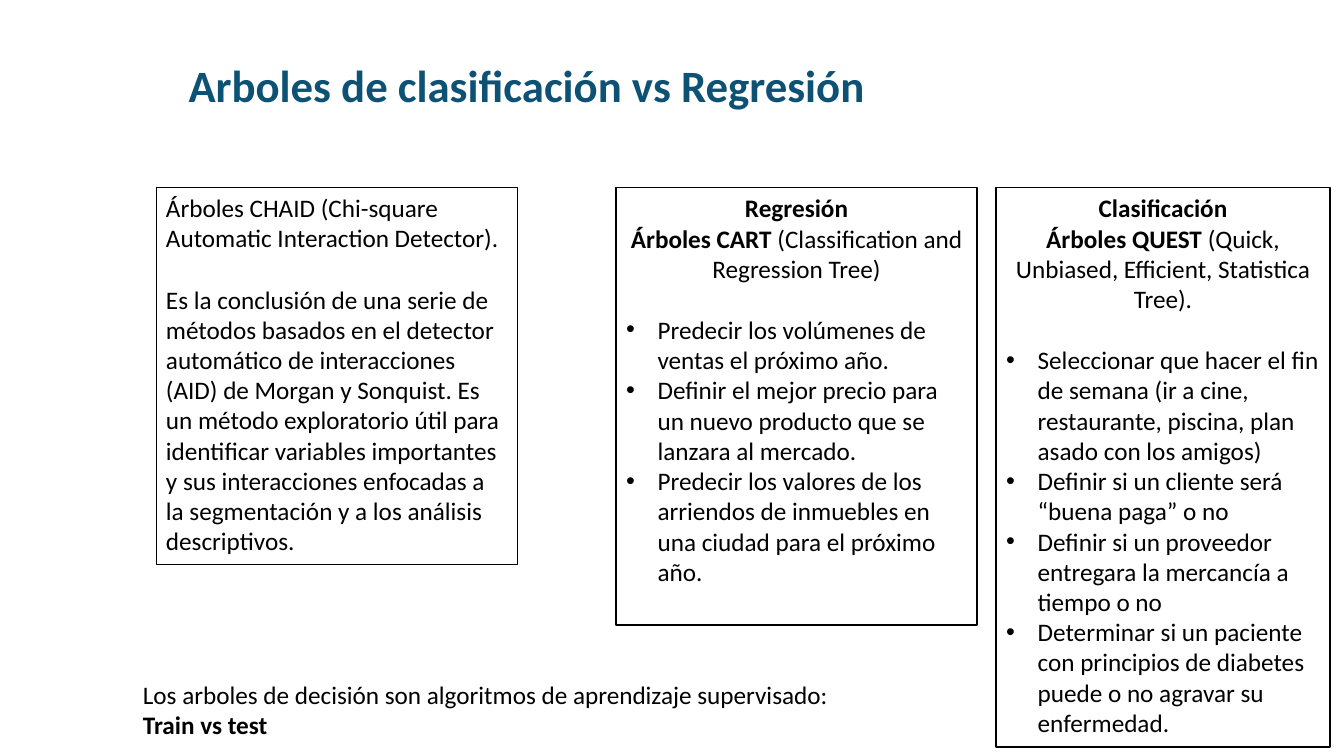
import pptx
import pptx.util
import pptx.dml.color
import pptx.enum.text
import lxml.etree

Pt = pptx.util.Pt
ALIGN = pptx.enum.text.PP_ALIGN
COLORS = {"title": "0D5274", "text": "000000", "line": "000000", "fill": "FFFFFF"}
FONT = "Calibri"
TEXT_SIZE = 18
LINE_GAP = 22
INDENT = 22.5
COLUMN_TOP = 134


def rgb(name):
    """Return the palette colour with the given name."""
    return pptx.dml.color.RGBColor.from_string(COLORS[name])


def place(shape, box):
    """Put a shape on its box and prepare its text frame."""
    shape.left, shape.top, shape.width, shape.height = map(Pt, box)
    frame = shape.text_frame
    frame.word_wrap = True
    frame.auto_size = pptx.enum.text.MSO_AUTO_SIZE.NONE
    frame.vertical_anchor = pptx.enum.text.MSO_ANCHOR.TOP
    return frame


def outline(shape, width):
    """Give a shape its border."""
    shape.line.color.rgb = rgb("line")
    shape.line.width = Pt(width)


def add_para(frame, spans, align=ALIGN.LEFT, gap=0, size=TEXT_SIZE, color="text"):
    """Write (text, bold) spans as the next paragraph of a frame."""
    para = frame.paragraphs[0]
    if para.runs:
        para = frame.add_paragraph()
    para.alignment = align
    para.space_before = Pt(gap)
    for text, bold in spans:
        span = para.add_run()
        span.text = text
        span.font.name = FONT
        span.font.size = Pt(size)
        span.font.bold = bold
        span.font.color.rgb = rgb(color)
    return para


def set_bullet(para, char=None):
    """Give a paragraph a hanging bullet, or remove the inherited one."""
    properties = para._p.get_or_add_pPr()
    indent = Pt(INDENT) if char else 0
    properties.set("marL", str(indent))
    properties.set("indent", str(-indent))
    tag = pptx.oxml.ns.qn("a:buChar" if char else "a:buNone")
    bullet = lxml.etree.SubElement(properties, tag)
    if char:
        bullet.set("char", char)


def fill_title(shape, box):
    """Write the slide title."""
    frame = place(shape, box)
    add_para(frame, [("Arboles de clasificación vs Regresión", True)], size=32, color="title")


def fill_tree_list(shape, box, heading, method, meaning, examples):
    """Write a bordered column with a centred heading and bulleted examples."""
    frame = place(shape, box)
    shape.fill.solid()
    shape.fill.fore_color.rgb = rgb("fill")
    outline(shape, 1)
    for spans in ([(heading, True)], [(method, True), (meaning, False)]):
        set_bullet(add_para(frame, spans, ALIGN.CENTER))
    for index, example in enumerate(examples):
        gap = 0 if index else LINE_GAP
        set_bullet(add_para(frame, [(example, False)], gap=gap), "•")


def add_chaid(page, box):
    """Add the bordered text about CHAID trees."""
    shape = page.shapes.add_textbox(*map(Pt, box))
    outline(shape, 0.75)
    frame = place(shape, box)
    add_para(frame, [("Árboles CHAID (Chi-square Automatic Interaction Detector).", False)])
    add_para(frame, [(
        "Es la conclusión de una serie de métodos basados en el detector automático "
        "de interacciones (AID) de Morgan y Sonquist. Es un método exploratorio útil "
        "para identificar variables importantes y sus interacciones enfocadas a la "
        "segmentación y a los análisis descriptivos.", False)], gap=LINE_GAP)


def add_conclusion(page, box):
    """Add the closing remark at the foot of the slide."""
    frame = place(page.shapes.add_textbox(*map(Pt, box)), box)
    add_para(frame, [("Los arboles de decisión son algoritmos de aprendizaje supervisado:", False)])
    add_para(frame, [("Train vs test", True)])


def main():
    """Build the slide and save it."""
    deck = pptx.Presentation()
    deck.slide_width, deck.slide_height = Pt(960), Pt(540)
    page = deck.slides.add_slide(deck.slide_layouts[3])
    title, regression, classification = page.placeholders
    fill_title(title, (127.5, 37.5, 539, 46))
    fill_tree_list(
        classification, (711.5, COLUMN_TOP, 238.5, 399.5),
        "Clasificación", "Árboles QUEST", " (Quick, Unbiased, Efficient, Statistica Tree).",
        ["Seleccionar que hacer el fin de semana (ir a cine, restaurante, piscina, "
         "plan asado con los amigos)",
         "Definir si un cliente será “buena paga” o no",
         "Definir si un proveedor entregara la mercancía a tiempo o no",
         "Determinar si un paciente con principios de diabetes puede o no agravar "
         "su enfermedad."])
    fill_tree_list(
        regression, (440, COLUMN_TOP, 258, 312.5),
        "Regresión", "Árboles CART", " (Classification and Regression Tree)",
        ["Predecir los volúmenes de ventas el próximo año.",
         "Definir el mejor precio para un nuevo producto que se lanzara al mercado.",
         "Predecir los valores de los arriendos de inmuebles en una ciudad para el "
         "próximo año."])
    add_conclusion(page, (95, 481.5, 721, 51))
    add_chaid(page, (111.5, COLUMN_TOP, 258, 269.5))
    deck.save("out.pptx")


if __name__ == "__main__":
    main()
